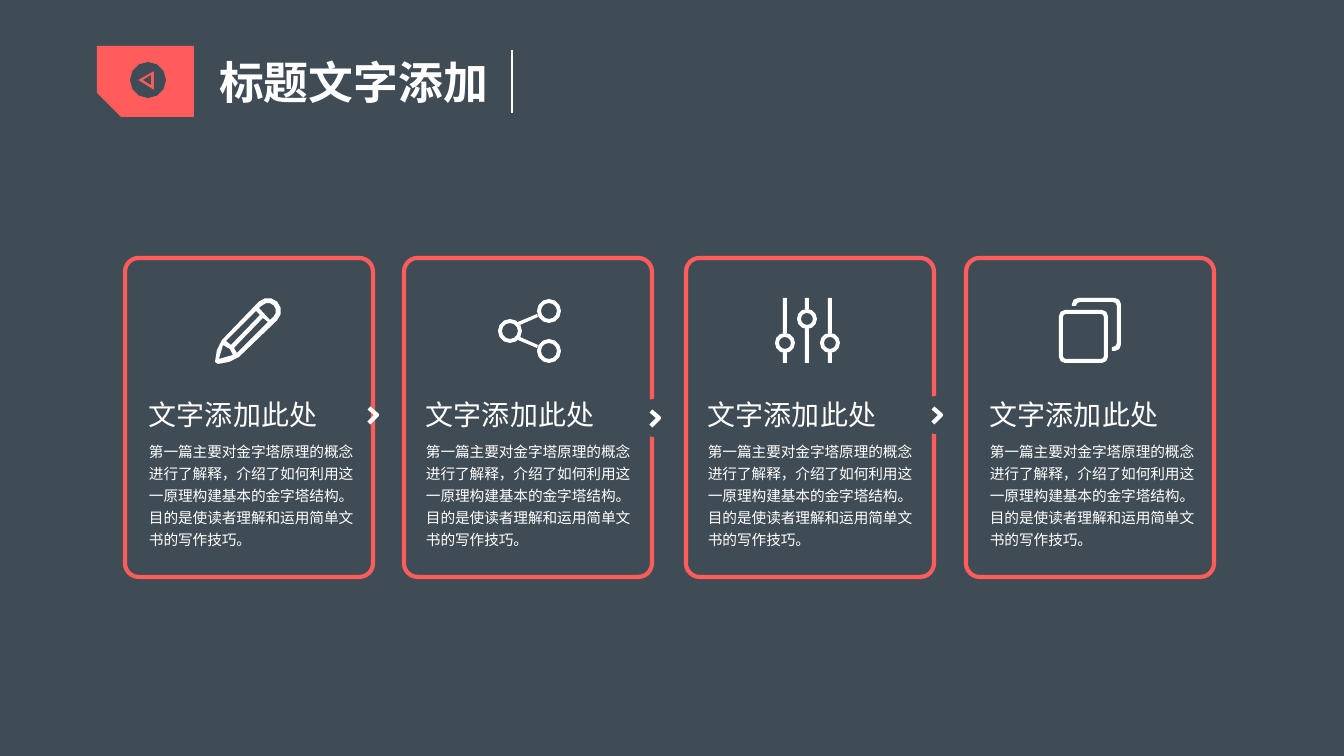
from math import cos, radians, sin

from lxml import etree
from pptx import Presentation
from pptx.dml.color import RGBColor
from pptx.enum.shapes import MSO_CONNECTOR, MSO_SHAPE
from pptx.enum.text import MSO_ANCHOR, MSO_AUTO_SIZE, PP_ALIGN
from pptx.oxml.ns import qn
from pptx.util import Pt

PX = 914400 / 100.8  # EMU in one px

SLATE = RGBColor(0x40, 0x4C, 0x55)
CORAL = RGBColor(0xFF, 0x5C, 0x5B)
WHITE = RGBColor(0xFF, 0xFF, 0xFF)
CJK_FONT = "Noto Sans CJK SC"

TITLE = "标题文字添加"
HEADING = "文字添加此处"
BODY = ("第一篇主要对金字塔原理的概念进行了解释，介绍了如何利用这一原理构建基本的"
        "金字塔结构。目的是使读者理解和运用简单文书的写作技巧。")


def px(*lengths):
    return [round(length * PX) for length in lengths]


# Contours, as lists of points in px
def arc(x, y, radius, start, end, step=30):
    steps = abs(end - start) // step
    angles = [radians(start + (end - start) * i / steps) for i in range(steps + 1)]
    return [(x + radius * cos(a), y + radius * sin(a)) for a in angles]


def circle(x, y, radius):
    return arc(x, y, radius, 0, 360)[:-1]


def ring(x, y, outer, inner):
    return [circle(x, y, outer), circle(x, y, inner)]


def round_box(left, top, width, height, radius):
    right, bottom = left + width - radius, top + height - radius
    left, top = left + radius, top + radius
    corners = [(left, top, 180), (right, top, 270), (right, bottom, 0), (left, bottom, 90)]
    return [point for x, y, start in corners
            for point in arc(x, y, radius, start, start + 90, 45)]


def pencil_icon():
    outline = arc(53, 13, 13, 225, 405) + [(24, 59), (14, 64), (3, 66), (0, 64), (2, 52), (7, 42)]
    cap = [(55, 22), (44, 10)] + arc(53, 13, 8, 225, 405)
    upper_side = [(11, 43), (41, 13), (45, 17), (16, 47)]
    lower_side = [(22, 55), (19, 50), (48, 20), (53, 24)]
    tip = [(4, 61), (8, 47), (13, 50), (15, 51), (18, 57)]
    return [outline, cap, upper_side, lower_side, tip]


def share_icon():
    lower_link = [(23, 39), (21, 42), (40, 50), (41, 47)]
    upper_link = [(x, 66 - y) for x, y in lower_link]
    nodes = [(13, 33), (52, 13), (52, 53)]
    return [lower_link, upper_link] + [c for x, y in nodes for c in ring(x, y, 12, 8)]


def sliders_icon():
    contours = []
    for x, knob in ((10, 45), (32, 21), (55, 45)):
        contours += ring(x, knob, 10, 6)
        for top, bottom in ((0, knob - 10), (knob + 10, 65)):
            contours.append([(x - 2, top), (x + 2, top), (x + 2, bottom), (x - 2, bottom)])
    return contours


def pages_icon():
    back = (arc(19, 6, 6, 180, 270, 45) + arc(56, 6, 6, 270, 360, 45)
            + arc(56, 47, 6, 0, 90, 45) + [(53, 53), (53, 49)] + arc(54, 45, 4, 90, 0, 45)
            + arc(54, 8, 4, 0, -90, 45) + arc(21, 8, 4, 270, 180, 45) + [(13, 8)])
    return [back, round_box(0, 12, 49, 53, 6), round_box(4, 16, 41, 45, 3)]


# Shapes
def style(shape, fill=None, line=None):
    shape.shadow.inherit = False
    if fill is None:
        shape.fill.background()
    else:
        shape.fill.solid()
        shape.fill.fore_color.rgb = fill
    if line is None:
        shape.line.fill.background()
    else:
        shape.line.color.rgb = line
        shape.line.width = Pt(3)


def add_preset(slide, kind, left, top, width, height, fill=None, line=None):
    shape = slide.shapes.add_shape(kind, *px(left, top, width, height))
    style(shape, fill, line)
    return shape


def add_outline(slide, left, top, contours, fill=None, line=None):
    builder = None
    for contour in contours:
        points = [px(left + x, top + y) for x, y in contour]
        if builder is None:
            builder = slide.shapes.build_freeform(*points[0])
        else:
            builder.move_to(*points[0])
        builder.add_line_segments(points[1:], close=fill is not None)
    style(builder.convert_to_shape(), fill, line)


def format_text(shape, text, size, font, bold=False, spacing=None, wrap=True):
    frame = shape.text_frame
    frame.text = text
    frame.word_wrap = wrap
    frame.auto_size = MSO_AUTO_SIZE.NONE
    frame.vertical_anchor = MSO_ANCHOR.TOP
    paragraph = frame.paragraphs[0]
    paragraph.alignment = PP_ALIGN.LEFT
    if spacing:
        paragraph.line_spacing = spacing
    run = paragraph.runs[0]
    run.font.name = font
    run.font.size = Pt(size)
    run.font.bold = bold
    run.font.color.rgb = WHITE
    etree.SubElement(run.font._element, qn("a:ea"), typeface=CJK_FONT)


def add_text(slide, left, top, width, height, text, size, spacing):
    box = slide.shapes.add_textbox(*px(left, top, width, height))
    format_text(box, text, size, CJK_FONT, spacing=spacing)


# Header: badge, title and divider
def add_header(slide, left, top):
    badge = add_preset(slide, MSO_SHAPE.SNIP_1_RECTANGLE, left, top, 97, 71, fill=CORAL)
    badge.rotation = 180
    badge.adjustments[0] = 0.34
    outer_triangle = [(57, 25), (41, 34), (57, 44)]
    inner_triangle = [(54, 29), (46, 34), (54, 39)]
    add_outline(slide, left, top, [circle(51, 34, 18), outer_triangle, inner_triangle], fill=SLATE)

    title = slide.shapes.title
    title.left, title.top, title.width, title.height = px(left + 112, top + 4, 291, 65)
    format_text(title, TITLE, 32, "Arial", bold=True, wrap=False)

    divider = slide.shapes.add_connector(
        MSO_CONNECTOR.STRAIGHT, *px(left + 415, top + 4, left + 415, top + 67))
    divider.line.color.rgb = WHITE
    divider.line.width = Pt(1.5)
    etree.SubElement(divider._element.spPr, qn("a:effectLst"))


# Arrow on the right edge of a card, with an optional gap in the edge
def add_chevron(slide, left, top, gap):
    if gap:
        add_preset(slide, MSO_SHAPE.OVAL, left - 16, top - 12, 38, 38, fill=SLATE)
    add_outline(slide, left, top, [[(0, 0), (8, 7), (0, 15)]], line=WHITE)


# Card: frame, arrow, icon, body and heading
def add_card(slide, left, top, icon, icon_left, text_left, chevron, gap):
    frame = add_preset(slide, MSO_SHAPE.ROUNDED_RECTANGLE, left, top, 248, 319, line=CORAL)
    frame.adjustments[0] = 0.055
    if chevron:
        add_chevron(slide, left + chevron[0], top + chevron[1], gap)
    add_outline(slide, left + icon_left, top + 40, icon, fill=WHITE)
    add_text(slide, left + text_left, top + 175, 228, 120, BODY, 10.5, 1.25)
    add_text(slide, left + text_left, top + 130, 229, 46, HEADING, 20, 1.14)


def main():
    presentation = Presentation()
    presentation.slide_width, presentation.slide_height = px(1344, 756)
    slide = presentation.slides.add_slide(presentation.slide_layouts[5])
    slide.background.fill.solid()
    slide.background.fill.fore_color.rgb = SLATE

    cards = [
        (125, pencil_icon(), 90, 14, (244, 150), False),
        (404, share_icon(), 93, 12, (247, 153), True),
        (686, sliders_icon(), 89, 12, (247, 150), True),
        (966, pages_icon(), 93, 14, None, False),
    ]
    for left, icon, icon_left, text_left, chevron, gap in cards:
        add_card(slide, left, 258, icon, icon_left, text_left, chevron, gap)
    add_header(slide, 97, 46)
    presentation.save("out.pptx")


if __name__ == "__main__":
    main()
